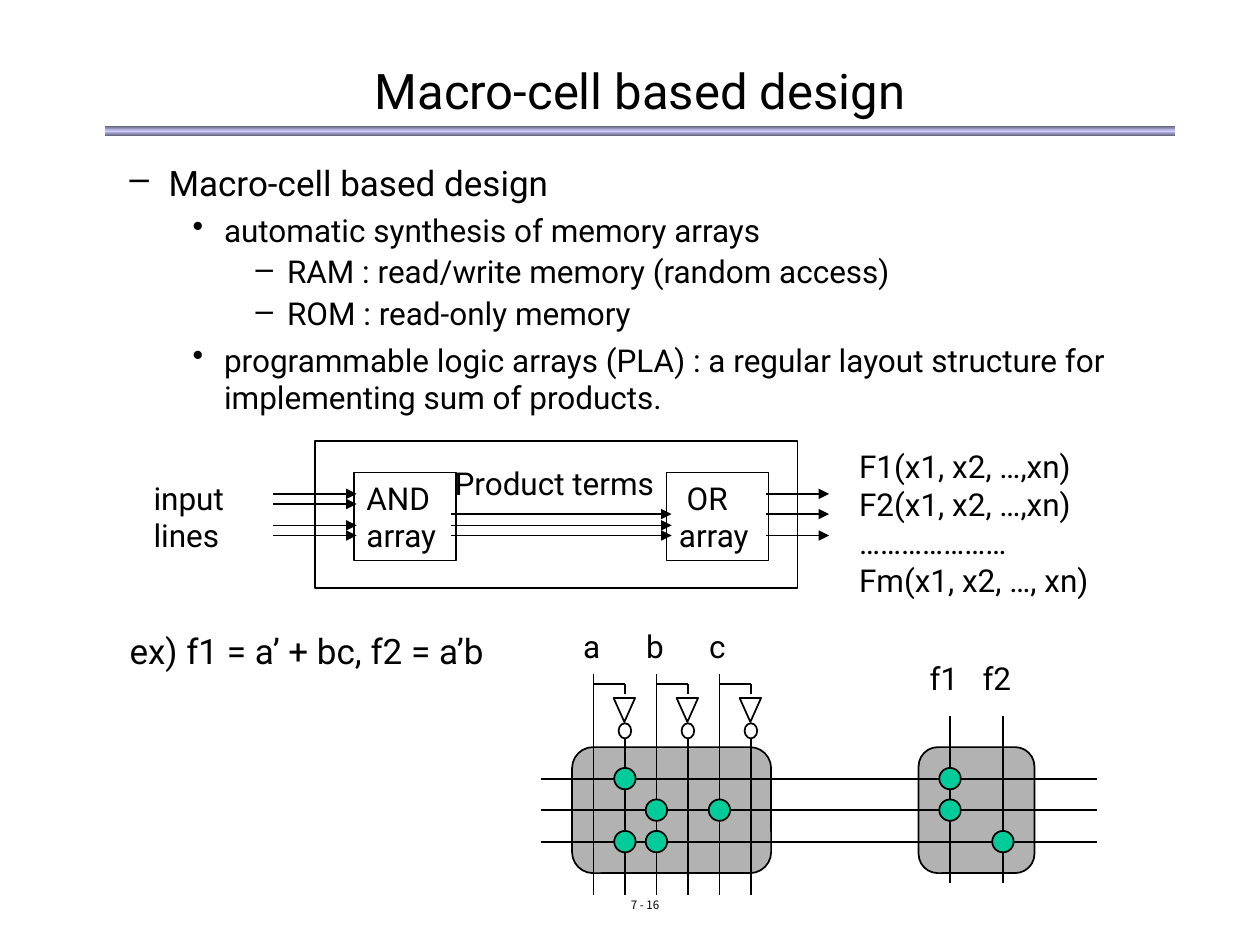
from lxml.etree import SubElement
from pptx import Presentation
from pptx.dml.color import RGBColor
from pptx.enum.shapes import MSO_CONNECTOR, MSO_SHAPE as Shape
from pptx.enum.text import MSO_ANCHOR as Anchor, PP_ALIGN as Align
from pptx.oxml.ns import qn
from pptx.util import Inches, Pt

FONT = "Roboto"
COLORS = {
    "ink": "000000",
    "white": "FFFFFF",
    "array": "B2B2B2",
    "dot": "00CC99",
    "bar_edge": "5E5E76",
    "bar_middle": "CCCCFF",
}

TITLE = "Macro-cell based design"
OUTLINE = [
    (1, "Macro-cell based design"),
    (2, "automatic synthesis of memory arrays"),
    (3, "RAM : read/write memory (random access)"),
    (3, "ROM : read-only memory"),
    (2, "programmable logic arrays (PLA) : a regular layout structure for "
        "implementing sum of products."),
]
LEVELS = {
    1: {"bullet": "–", "margin": 0.81, "hang": 0.31, "size": 20, "before": 5, "spacing": 1},
    2: {"bullet": "•", "margin": 1.25, "hang": 0.25, "size": 18, "before": 4.5, "spacing": 1},
    3: {"bullet": "–", "margin": 1.75, "hang": 0.25, "size": 18, "before": 4.5, "spacing": 0.9},
}
EXAMPLE = "ex) f1 = a’ + bc, f2 = a’b"
PAGE_NUMBER = "7 - 16"

BLOCKS = [(2.81, ["AND", "array"]), (5.29, [" OR", "array"])]
BLOCK_LABELS = [
    (3.51, 3.63, 1.87, 0.4, ["Product terms"]),
    (1.12, 3.75, 0.81, 0.7, ["input", "lines"]),
    (6.72, 3.5, 2.14, 1.3,
     ["F1(x1, x2, …,xn)", "F2(x1, x2, …,xn)", "…………………", "Fm(x1, x2, …, xn)"]),
]
ARROWS = [
    (2.17, 2.83, [3.92, 4, 4.17, 4.25]),
    (3.58, 5.33, [4.08, 4.17, 4.25]),
    (6.08, 6.58, [3.92, 4.08, 4.25]),
]

INPUTS = ["a", "b", "c"]
OUTPUTS = {"f1": 7.54, "f2": 7.96}
TERMS = [
    (["a'"], ["f1"]),
    (["b", "c"], ["f1"]),
    (["a'", "b"], ["f2"]),
]
FIRST_INPUT, INPUT_STEP, INVERTER_OFFSET = 4.71, 0.5, 0.25
FIRST_TERM, TERM_STEP = 6.18, 0.25
DOT = 0.17

presentation = Presentation()
presentation.slide_width, presentation.slide_height = Inches(10), Inches(7.5)
slide = presentation.slides.add_slide(presentation.slide_layouts[6])
shapes = slide.shapes


def color(name):
    return RGBColor.from_string(COLORS[name])


def add_run(paragraph, text, size=18, font=FONT):
    run = paragraph.add_run()
    run.text = text
    run.font.size, run.font.name = Pt(size), font
    run.font.color.rgb = color("ink")
    for tag in ("a:ea", "a:cs"):
        SubElement(run.font._element, qn(tag), typeface=font)


def write(frame, lines, size=18, font=FONT, align=Align.LEFT, wrap=False, anchor=Anchor.TOP):
    frame.word_wrap, frame.vertical_anchor = wrap, anchor
    for index, text in enumerate(lines):
        paragraph = frame.add_paragraph() if index else frame.paragraphs[0]
        paragraph.alignment = align
        add_run(paragraph, text, size, font)


def add_text(left, top, width, height, lines, **style):
    box = shapes.add_textbox(Inches(left), Inches(top), Inches(width), Inches(height))
    write(box.text_frame, lines, **style)
    return box


def add_box(kind, left, top, width, height, fill=None):
    shape = shapes.add_shape(kind, Inches(left), Inches(top), Inches(width), Inches(height))
    shape.shadow.inherit = False
    if fill:
        shape.fill.solid()
        shape.fill.fore_color.rgb = color(fill)
    else:
        shape.fill.background()
    shape.line.color.rgb, shape.line.width = color("ink"), Pt(1)
    return shape


def add_line(x1, y1, x2, y2, arrow=False):
    line = shapes.add_connector(
        MSO_CONNECTOR.STRAIGHT, Inches(x1), Inches(y1), Inches(x2), Inches(y2))
    line.line.color.rgb, line.line.width = color("ink"), Pt(1)
    if arrow:
        SubElement(line.line._get_or_add_ln(), qn("a:tailEnd"), type="triangle")
    SubElement(line._element.spPr, qn("a:effectLst"))


def add_heading():
    bar = add_box(Shape.RECTANGLE, 0.83, 1, 8.5, 0.08)
    bar.line.fill.background()
    bar.fill.gradient()
    bar.fill.gradient_angle = 90
    stops = bar.fill._fill._gradFill.gsLst
    for stop in list(stops):
        stops.remove(stop)
    for position, name in [(0, "bar_edge"), (50000, "bar_middle"), (100000, "bar_edge")]:
        stop = SubElement(stops, qn("a:gs"), pos=str(position))
        SubElement(stop, qn("a:srgbClr"), val=COLORS[name])
    add_text(0.83, 0.5, 8.5, 0.42, [TITLE], size=28, align=Align.CENTER,
             wrap=True, anchor=Anchor.MIDDLE)


def add_outline():
    frame = add_text(0.43, 1.23, 9.14, 2.2, [], wrap=True).text_frame
    for index, (level, text) in enumerate(OUTLINE):
        paragraph = frame.add_paragraph() if index else frame.paragraphs[0]
        style = LEVELS[level]
        paragraph.level = level
        paragraph.space_before = Pt(style["before"])
        paragraph.line_spacing = style["spacing"]
        properties = paragraph._p.get_or_add_pPr()
        properties.set("marL", str(Inches(style["margin"])))
        properties.set("indent", str(-Inches(style["hang"])))
        SubElement(properties, qn("a:buChar"), char=style["bullet"])
        add_run(paragraph, text, style["size"])


def add_block_diagram():
    for left, lines in BLOCKS:
        write(add_box(Shape.RECTANGLE, left, 3.75, 0.81, 0.7).text_frame, lines)
    for left, top, width, height, lines in BLOCK_LABELS:
        add_text(left, top, width, height, lines)
    for start, end, rows in ARROWS:
        for y in rows:
            add_line(start, y, end, y, arrow=True)
    add_box(Shape.RECTANGLE, 2.5, 3.5, 3.83, 1.17)


def add_array_diagram():
    for left, width in [(7.29, 0.92), (4.54, 1.58)]:
        array = add_box(Shape.ROUNDED_RECTANGLE, left, 5.93, width, 1, "array")
        array.adjustments[0] = 0.167
    columns = dict(OUTPUTS)
    for index, name in enumerate(INPUTS):
        x = FIRST_INPUT + index * INPUT_STEP
        inverted = x + INVERTER_OFFSET
        columns[name], columns[name + "'"] = x, inverted
        add_text(x - 0.18, 4.93, 0.34, 0.4, [name])
        add_line(x, 5.35, x, 7.1)
        add_line(x, 5.43, inverted, 5.43)
        add_line(inverted, 5.43, inverted, 5.51)
        add_line(inverted, 5.86, inverted, 7.1)
        add_box(Shape.OVAL, inverted - 0.05, 5.74, 0.1, 0.12, "white")
        triangle = add_box(Shape.ISOSCELES_TRIANGLE, inverted - 0.09, 5.54, 0.17, 0.19, "white")
        triangle.rotation = 180
    for name, x in OUTPUTS.items():
        add_text(x - 0.26, 5.18, 0.43, 0.4, [name])
        add_line(x, 5.68, x, 7.01)
    rows = [FIRST_TERM + index * TERM_STEP for index in range(len(TERMS))]
    for y in rows:
        add_line(4.29, y, 8.71, y)
    for y, (literals, outputs) in zip(rows, TERMS):
        for name in literals + outputs:
            add_box(Shape.OVAL, columns[name] - DOT / 2, y - DOT / 2, DOT, DOT, "dot")


add_heading()
add_outline()
add_text(0.93, 4.95, 3.3, 0.43, [EXAMPLE], size=20)
add_text(4.08, 7.08, 2.08, 0.25, [PAGE_NUMBER], size=6.6, font="Noto Sans CJK KR",
         align=Align.CENTER, wrap=True)
add_block_diagram()
add_array_diagram()
presentation.save("out.pptx")
